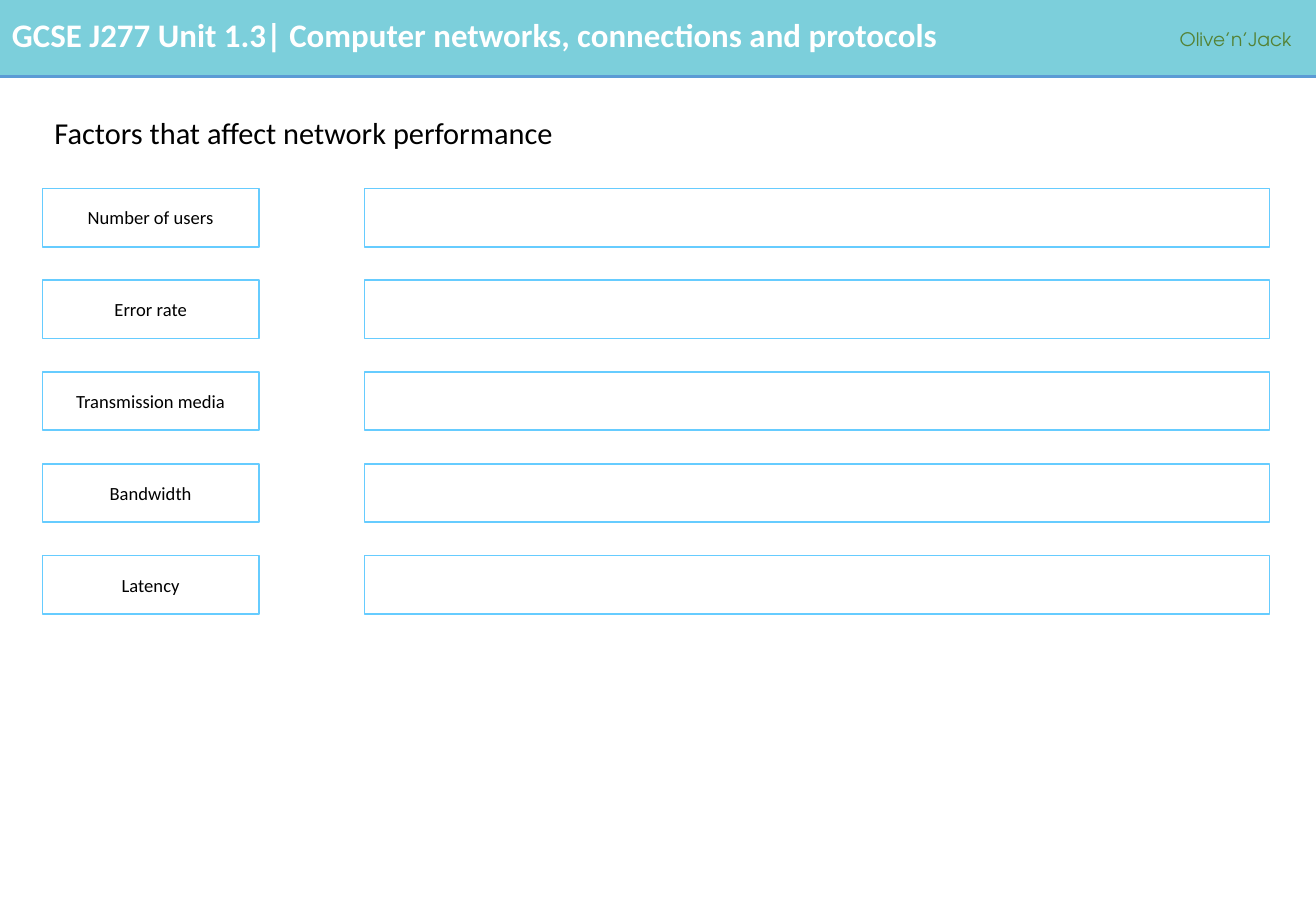
from lxml import etree
from pptx import Presentation
from pptx.dml.color import RGBColor
from pptx.enum.shapes import MSO_CONNECTOR, MSO_SHAPE
from pptx.enum.text import MSO_ANCHOR, PP_ALIGN
from pptx.oxml.ns import qn
from pptx.util import Cm, Pt

WHITE = RGBColor(0xFF, 0xFF, 0xFF)
BLACK = RGBColor(0x00, 0x00, 0x00)
TEAL = RGBColor(0x7C, 0xCF, 0xDB)
BLUE = RGBColor(0x5B, 0x9B, 0xD5)
SKY = RGBColor(0x66, 0xCC, 0xFF)
GREEN = RGBColor(0x54, 0x82, 0x35)

FACTORS = ["Number of users", "Error rate", "Transmission media", "Bandwidth", "Latency"]
ROW_TOP, ROW_STEP, ROW_HEIGHT = 3.94, 1.92, 1.22
LABEL_LEFT, LABEL_WIDTH = 0.89, 4.52
ANSWER_LEFT, ANSWER_WIDTH = 7.62, 18.92


def write(sp, text, size, color, font="Calibri", bold=False):
    tf = sp.text_frame
    tf.text = text
    p = tf.paragraphs[0]
    r = p.runs[0]
    r.font.name = font
    r.font.size = Pt(size)
    r.font.bold = bold
    r.font.color.rgb = color
    return p


def add_rect(left, top, width, height):
    sp = s.shapes.add_shape(MSO_SHAPE.RECTANGLE, Cm(left), Cm(top), Cm(width), Cm(height))
    sp.shadow.inherit = False
    return sp


prs = Presentation()
prs.slide_width = Cm(27.51)
prs.slide_height = Cm(19.05)
s = prs.slides.add_slide(prs.slide_layouts[6])

banner = add_rect(0, 0, 27.51, 1.6)
banner.fill.solid()
banner.fill.fore_color.rgb = TEAL
banner.line.fill.background()

rule = s.shapes.add_connector(MSO_CONNECTOR.STRAIGHT, 0, Cm(1.6), Cm(27.51), Cm(1.6))
rule.line.color.rgb = BLUE
rule.line.width = Pt(2.25)
etree.SubElement(rule._element.spPr, qn("a:effectLst"))

unit = s.shapes.add_textbox(0, Cm(0.18), Cm(24.08), Cm(1.09))
unit.text_frame.word_wrap = True
write(unit, "GCSE J277 Unit 1.3| Computer networks, connections and protocols", 19.5, WHITE, bold=True)

author = s.shapes.add_textbox(Cm(24.41), Cm(0.43), Cm(3.1), Cm(0.74))
author.text_frame.word_wrap = False
p = write(author, "Olive’n’Jack", 11, GREEN, font="TeX Gyre Adventor")
p.line_spacing = 1.07
p.space_after = Pt(8)

title = s.shapes.add_textbox(Cm(LABEL_LEFT), Cm(2.11), Cm(25.65), Cm(1.42))
title.text_frame.word_wrap = True
title.text_frame.vertical_anchor = MSO_ANCHOR.MIDDLE
p = write(title, "Factors that affect network performance", 18, BLACK)
p.line_spacing = 0.9

for i, factor in enumerate(FACTORS):
    top = ROW_TOP + i * ROW_STEP
    label = add_rect(LABEL_LEFT, top, LABEL_WIDTH, ROW_HEIGHT)
    answer = add_rect(ANSWER_LEFT, top, ANSWER_WIDTH, ROW_HEIGHT)
    for sp in (label, answer):
        sp.fill.background()
        sp.line.color.rgb = SKY
        sp.line.width = Pt(1)
    label.text_frame.vertical_anchor = MSO_ANCHOR.MIDDLE
    p = write(label, factor, 11, BLACK)
    p.alignment = PP_ALIGN.CENTER

prs.save("out.pptx")
